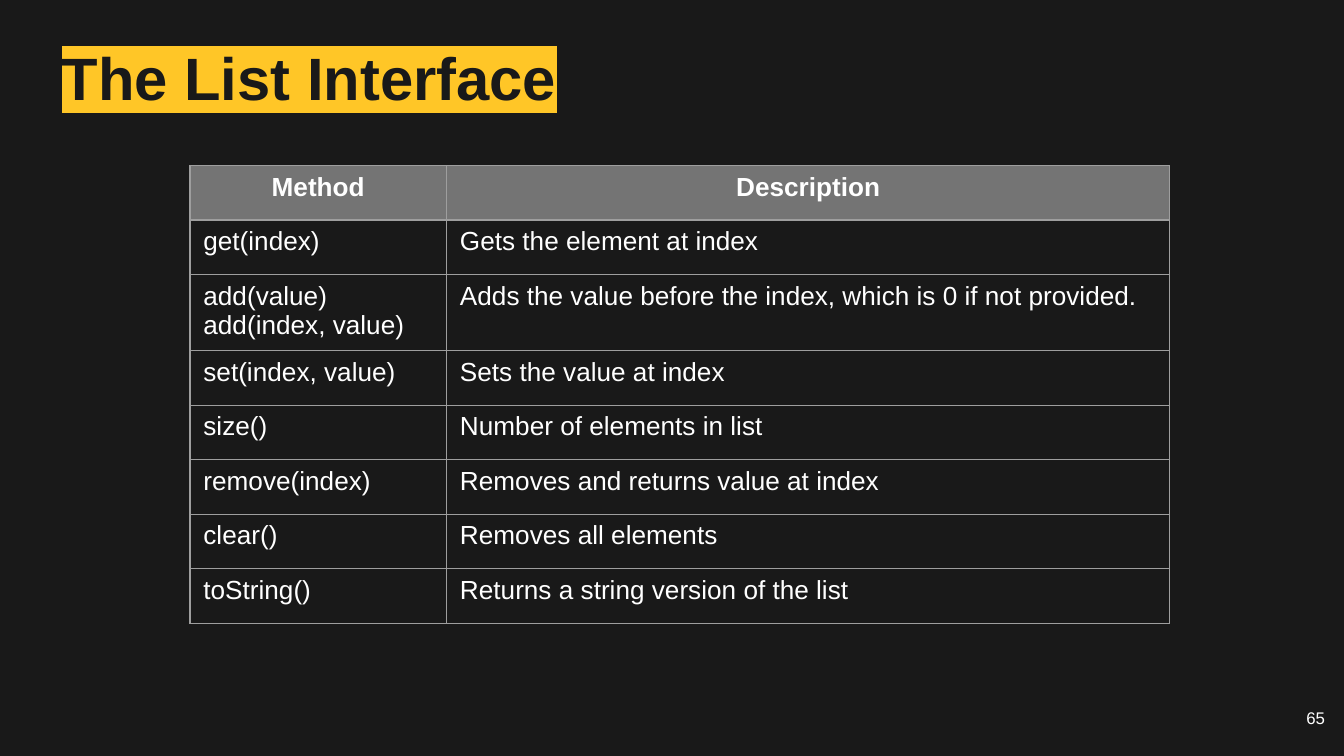
"""Build the slide that lists the methods of the List interface."""
from lxml import etree
from pptx import Presentation
from pptx import util as u
from pptx.dml.color import RGBColor
from pptx.enum import text
from pptx.oxml import ns

TITLE = "The List Interface"
PAGE_NUMBER = "65"
HEADINGS = ("Method", "Description")
METHODS = [
    ("get(index)", "Gets the element at index"),
    ("add(value)\nadd(index, value)",
     "Adds the value before the index, which is 0 if not provided."),
    ("set(index, value)", "Sets the value at index"),
    ("size()", "Number of elements in list"),
    ("remove(index)", "Removes and returns value at index"),
    ("clear()", "Removes all elements"),
    ("toString()", "Returns a string version of the list"),
]

DARK = RGBColor(0x19, 0x19, 0x19)
WHITE = RGBColor(0xFF, 0xFF, 0xFF)
YELLOW = RGBColor(0xFF, 0xC6, 0x27)
HEADING_GREY = RGBColor(0x74, 0x74, 0x74)
BORDER_GREY = RGBColor(0x9E, 0x9E, 0x9E)

COLUMN_WIDTHS = (u.Cm(4.85), u.Cm(13.67))
ROW_HEIGHT = u.Cm(1.03)
LINE_HEIGHT = u.Cm(0.55)
BORDER_WIDTH = u.Pt(0.75)

TITLE_FONT = {"name": "Arial", "size": u.Pt(32), "bold": True}
NUMBER_FONT = {"name": "Arial", "size": u.Pt(9)}
CELL_FONT = {"name": "Arial", "size": u.Pt(14)}
TITLE_FRAME = {
    "margin_left": 0, "margin_right": u.Cm(0.18),
    "margin_top": u.Cm(0.1), "margin_bottom": u.Cm(0.1),
    "vertical_anchor": text.MSO_ANCHOR.MIDDLE,
    "auto_size": text.MSO_AUTO_SIZE.NONE, "word_wrap": True,
}
NUMBER_FRAME = dict.fromkeys(
    ("margin_left", "margin_right", "margin_top", "margin_bottom"), u.Cm(0.25))
NUMBER_FRAME["word_wrap"] = True
TABLE_FLAGS = {"first_row": False, "horz_banding": False}


def apply(target, values):
    for name, value in values.items():
        setattr(target, name, value)


def style(font, values, color):
    apply(font, values)
    font.color.rgb = color


def add_solid_fill(parent, color):
    fill = etree.SubElement(parent, ns.qn("a:solidFill"))
    etree.SubElement(fill, ns.qn("a:srgbClr"), val=str(color))


def highlight(run, color):
    mark = etree.Element(ns.qn("a:highlight"))
    etree.SubElement(mark, ns.qn("a:srgbClr"), val=str(color))
    run.font._element.find(ns.qn("a:solidFill")).addnext(mark)


def add_borders(cell):
    properties = cell._tc.get_or_add_tcPr()
    for side in ("a:lnL", "a:lnR", "a:lnT", "a:lnB"):
        line = etree.SubElement(properties, ns.qn(side), w=str(BORDER_WIDTH))
        add_solid_fill(line, BORDER_GREY)


def add_title(slide):
    title = slide.shapes.title
    apply(title, {"left": u.Cm(1.17), "top": u.Cm(0.89),
                  "width": u.Cm(23.37), "height": u.Cm(1.27)})
    apply(title.text_frame, TITLE_FRAME)
    heading = title.text_frame.paragraphs[0]
    apply(heading, {"alignment": text.PP_ALIGN.LEFT, "line_spacing": 0.9})
    run = heading.add_run()
    run.text = TITLE
    style(run.font, TITLE_FONT, DARK)
    highlight(run, YELLOW)


def add_page_number(slide):
    box = slide.shapes.add_textbox(u.Cm(23.77), u.Cm(13.18), u.Cm(1.52), u.Cm(1.09))
    apply(box.text_frame, NUMBER_FRAME)
    number = box.text_frame.paragraphs[0]
    number.text = PAGE_NUMBER
    number.alignment = text.PP_ALIGN.RIGHT
    style(number.runs[0].font, NUMBER_FONT, WHITE)


def add_method_table(slide):
    rows = [HEADINGS, *METHODS]
    heights = [max(ROW_HEIGHT, LINE_HEIGHT * (row[0].count("\n") + 1) + u.Cm(0.27))
               for row in rows]
    methods = slide.shapes.add_table(
        len(rows), len(HEADINGS), u.Cm(3.59), u.Cm(3.13),
        sum(COLUMN_WIDTHS), sum(heights)).table
    apply(methods, TABLE_FLAGS)
    for column, width in zip(methods.columns, COLUMN_WIDTHS):
        column.width = width
    for r, entries in enumerate(rows):
        methods.rows[r].height = heights[r]
        for c, entry in enumerate(entries):
            cell = methods.cell(r, c)
            cell.text = entry
            add_borders(cell)
            if r == 0:
                cell.fill.solid()
                cell.fill.fore_color.rgb = HEADING_GREY
            else:
                cell.fill.background()
            for paragraph in cell.text_frame.paragraphs:
                paragraph.alignment = text.PP_ALIGN.LEFT if r else text.PP_ALIGN.CENTER
                style(paragraph.runs[0].font, {**CELL_FONT, "bold": r == 0}, WHITE)


def main():
    deck = Presentation()
    apply(deck, {"slide_width": u.Cm(25.4), "slide_height": u.Cm(14.29)})
    slide = deck.slides.add_slide(deck.slide_layouts[5])
    slide.background.fill.solid()
    slide.background.fill.fore_color.rgb = DARK
    add_title(slide)
    add_page_number(slide)
    add_method_table(slide)
    deck.save("out.pptx")


if __name__ == "__main__":
    main()
